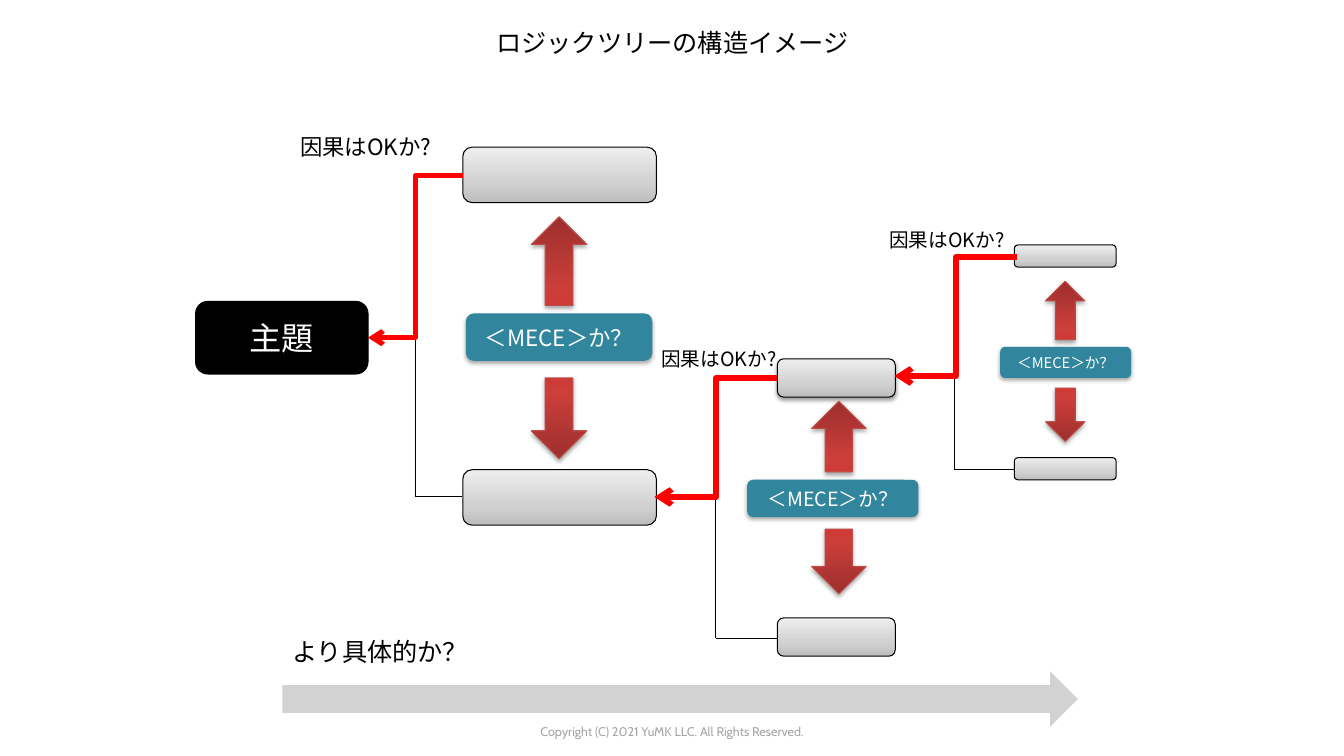
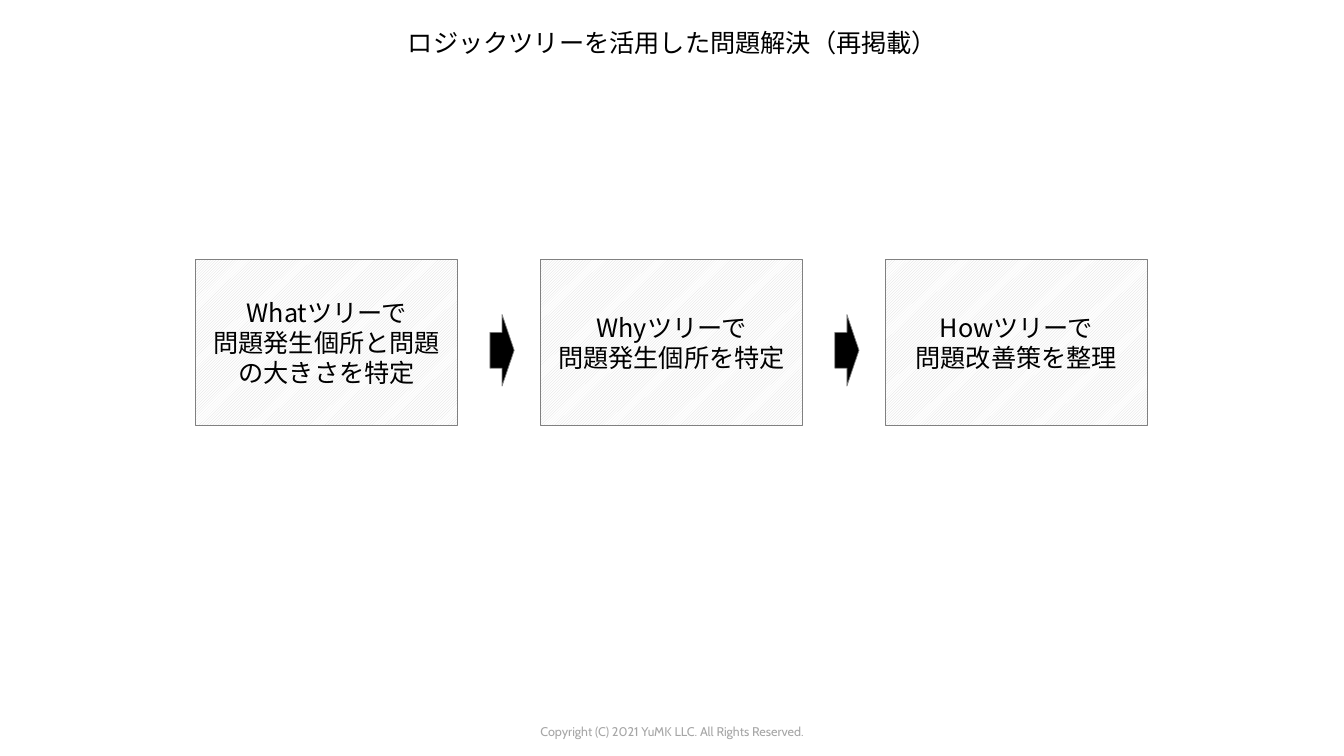
from copy import deepcopy

from lxml.etree import SubElement
from pptx import Presentation
from pptx.dml.color import RGBColor
from pptx.enum.dml import MSO_PATTERN
from pptx.enum.shapes import MSO_CONNECTOR, MSO_SHAPE
from pptx.enum.text import MSO_ANCHOR, MSO_AUTO_SIZE, PP_ALIGN
from pptx.oxml.ns import qn
from pptx.util import Pt

PX = 9144
BLACK, WHITE, RED, TEAL = "000000", "FFFFFF", "FF0000", "31859C"
SILVER, GRAY, PATTERN_GRAY = "A6A6A6", "808080", "D9D9D9"
ARROW_EDGE = "BF4C48"
GRAY_GRADIENT = [(0, "BDBDBD"), (0.35, "D1D1D1"), (1, "EEEEEE")]
RED_GRADIENT = [(0, "9C2F2D"), (0.8, "CB3E3A"), (1, "CE3B37")]
CAUSE_QUESTION = "因果はOKか?"
MECE_QUESTION = "＜MECE＞か？"


def emu(*lengths):
    """Turn px lengths into EMU."""
    return [length * PX for length in lengths]


def paint(target, color):
    """Set a colour format from a hex string."""
    target.rgb = RGBColor.from_string(color)


def write(frame, text, size=18, color=BLACK, font="Noto Sans CJK JP", align=PP_ALIGN.LEFT):
    """Fill a text frame, one paragraph for each line of text."""
    frame.word_wrap = True
    for index, line in enumerate(text.split("\n")):
        para = frame.add_paragraph() if index else frame.paragraphs[0]
        para.alignment = align
        span = para.add_run()
        span.text = line
        span.font.size = Pt(size)
        span.font.name = font
        paint(span.font.color, color)
        SubElement(span.font._element, qn("a:ea"), typeface=font)


class Deck:
    """The presentation, its style and the slide being drawn."""

    def __init__(self):
        """Open a wide deck with a footer shared through the layout."""
        self.deck = Presentation()
        self.deck.slide_width, self.deck.slide_height = emu(1333, 750)
        self.layout = self.deck.slide_layouts[5]
        self.page = None

    def new_page(self, title):
        """Start a slide with its title."""
        first = self.page is None
        self.page = self.deck.slides.add_slide(self.layout)
        if first:
            self.add_footer()
        box = self.page.shapes.title
        box.left, box.top, box.width, box.height = emu(67, 22, 1200, 54)
        frame = box.text_frame
        frame.auto_size = MSO_AUTO_SIZE.NONE
        frame.vertical_anchor = MSO_ANCHOR.TOP
        write(frame, title, align=PP_ALIGN.CENTER)

    def add_footer(self):
        """Place the copyright line on the layout."""
        box = self.text(
            (420, 713, 493, 25),
            "Copyright (C) 2021 YuMK LLC. All Rights Reserved.",
            size=9, color=SILVER, font="Cabin", align=PP_ALIGN.CENTER,
        )
        box._element.nvSpPr.cNvPr.set("id", "20")
        self.layout.shapes._spTree.append(box._element)

    def text(self, area, text, **style):
        """Add a text box."""
        box = self.page.shapes.add_textbox(*emu(*area))
        write(box.text_frame, text, **style)
        return box

    def shape(self, kind, area, fill=None, gradient=None, line=None, line_width=0.75,
              text=None, parent=None, shadow=None, **style):
        """Add a preset shape with a plain, gradient or hatched fill."""
        shape = (parent or self.page).shapes.add_shape(kind, *emu(*area))
        if gradient:
            self.blend(shape, gradient)
        elif fill:
            shape.fill.solid()
            paint(shape.fill.fore_color, fill)
        else:
            shape.fill.patterned()
            shape.fill.pattern = MSO_PATTERN.LIGHT_UPWARD_DIAGONAL
            paint(shape.fill.fore_color, PATTERN_GRAY)
            paint(shape.fill.back_color, WHITE)
        if line:
            paint(shape.line.color, line)
            shape.line.width = Pt(line_width)
        else:
            shape.line.fill.background()
        shape.shadow.inherit = False
        if shadow:
            self.cast_shadow(shape, shadow)
        if text:
            shape.text_frame.vertical_anchor = MSO_ANCHOR.MIDDLE
            write(shape.text_frame, text, align=PP_ALIGN.CENTER, **style)
        return shape

    def blend(self, shape, stops):
        """Fill a shape with a three-stop gradient rising from the bottom."""
        shape.fill.gradient()
        shape.fill.gradient_angle = 90
        stop_list = next(shape._element.spPr.iter(qn("a:gsLst")))
        stop_list.append(deepcopy(stop_list[0]))
        for stop, (position, color) in zip(shape.fill.gradient_stops, stops):
            stop.position = position
            paint(stop.color, color)

    def cast_shadow(self, shape, opacity):
        """Add a soft shadow below a shape, opacity in percent."""
        effects = shape._element.spPr.find(qn("a:effectLst"))
        outer = SubElement(effects, qn("a:outerShdw"), blurRad="40000", dist="23000",
                           dir="5400000", rotWithShape="0")
        color = SubElement(outer, qn("a:srgbClr"), val=BLACK)
        SubElement(color, qn("a:alpha"), val=str(opacity * 1000))

    def connector(self, start, end, color=BLACK, width=0.75, elbow=False):
        """Add a straight line, or an elbow that ends in an arrowhead."""
        kind = MSO_CONNECTOR.ELBOW if elbow else MSO_CONNECTOR.STRAIGHT
        line = self.page.shapes.add_connector(kind, *emu(*start, *end))
        paint(line.line.color, color)
        line.line.width = Pt(width)
        if elbow:
            SubElement(line.line._get_or_add_ln(), qn("a:tailEnd"), type="arrow")
        SubElement(line._element.spPr, qn("a:effectLst"))

    def node(self, area, **style):
        """Add an empty gray box of the tree."""
        self.shape(MSO_SHAPE.ROUNDED_RECTANGLE, area, gradient=GRAY_GRADIENT,
                   line=BLACK, **style)

    def branch(self, trunk, top, bottom, right):
        """Draw the thin line down the trunk and across to the lower box."""
        self.connector((trunk, top), (trunk, bottom))
        self.connector((trunk, bottom), (right, bottom))

    def mece(self, label, up, down, size):
        """Add a grouped question between an up and a down arrow."""
        group = self.page.shapes.add_group_shape()
        for area, turn in ((down, 0), (up, 180)):
            arrow = self.shape(MSO_SHAPE.DOWN_ARROW, area, gradient=RED_GRADIENT,
                               line=ARROW_EDGE, parent=group, shadow=35)
            arrow.rotation = turn
        self.shape(MSO_SHAPE.ROUNDED_RECTANGLE, label, fill=TEAL, parent=group, shadow=35,
                   text=MECE_QUESTION, size=size, color=WHITE)


def draw_tree(deck):
    """Draw the structure of a logic tree."""
    deck.new_page("ロジックツリーの構造イメージ")
    deck.shape(MSO_SHAPE.ROUNDED_RECTANGLE, (194, 299, 171, 72), fill=BLACK, line=BLACK,
               text="主題", size=23, color=WHITE)
    levels = [(459, 192, 55, (146, 466), (0, 0)),
              (771, 117, 38, (356, 613), (38, 0)),
              (1006, 101, 22, (243, 454), (0, 0))]
    for left, width, height, tops, shadows in levels:
        for top, shadow in zip(tops, shadows):
            deck.node((left, top, width, height), shadow=shadow)

    deck.branch(412, 335, 493, 458)
    deck.branch(710, 492, 633, 771)
    deck.branch(947, 371, 466, 1006)

    deck.mece((462, 311, 185, 47), (527, 215, 55, 88), (527, 375, 55, 80), 16)
    deck.mece((741, 476, 170, 37), (805, 398, 54, 70), (805, 525, 54, 64), 14)
    deck.mece((992, 344, 130, 31), (1037, 279, 39, 58), (1037, 385, 39, 53), 10.5)

    depth = deck.shape(MSO_SHAPE.RIGHT_ARROW, (280, 666, 789, 55), fill=SILVER)
    fill_color = depth._element.spPr.find(qn("a:solidFill"))[0]
    SubElement(fill_color, qn("a:alpha"), val="50000")
    deck.text((280, 626, 222, 40), "より具体的か？")

    for start, end, width in (((459, 174), (365, 335), 3.5),
                              ((771, 375), (649, 493), 4),
                              ((1009, 255), (887, 373), 4)):
        deck.connector(start, end, color=RED, width=width, elbow=True)
    for area, size in (((288, 127, 171, 37), 16),
                       ((646, 339, 136, 34), 14),
                       ((872, 221, 151, 34), 14)):
        deck.text(area, CAUSE_QUESTION, size=size)


def draw_steps(deck):
    """Draw the three steps of solving a problem."""
    deck.new_page("ロジックツリーを活用した問題解決（再掲載）")
    steps = ["Whatツリーで\n問題発生個所と問題の大きさを特定",
             "Whyツリーで\n問題発生個所を特定",
             "Howツリーで\n問題改善策を整理"]
    for index, step in enumerate(steps):
        left = 194 + 342 * index
        deck.shape(MSO_SHAPE.RECTANGLE, (left, 257, 260, 165), line=GRAY, line_width=0.5,
                   text=step)
        if index:
            deck.shape(MSO_SHAPE.RIGHT_ARROW, (left - 50, 312, 24, 71), fill=BLACK,
                       line=GRAY, line_width=0.5)


def main():
    """Build and save the deck."""
    deck = Deck()
    draw_tree(deck)
    draw_steps(deck)
    deck.deck.save("out.pptx")


if __name__ == "__main__":
    main()
